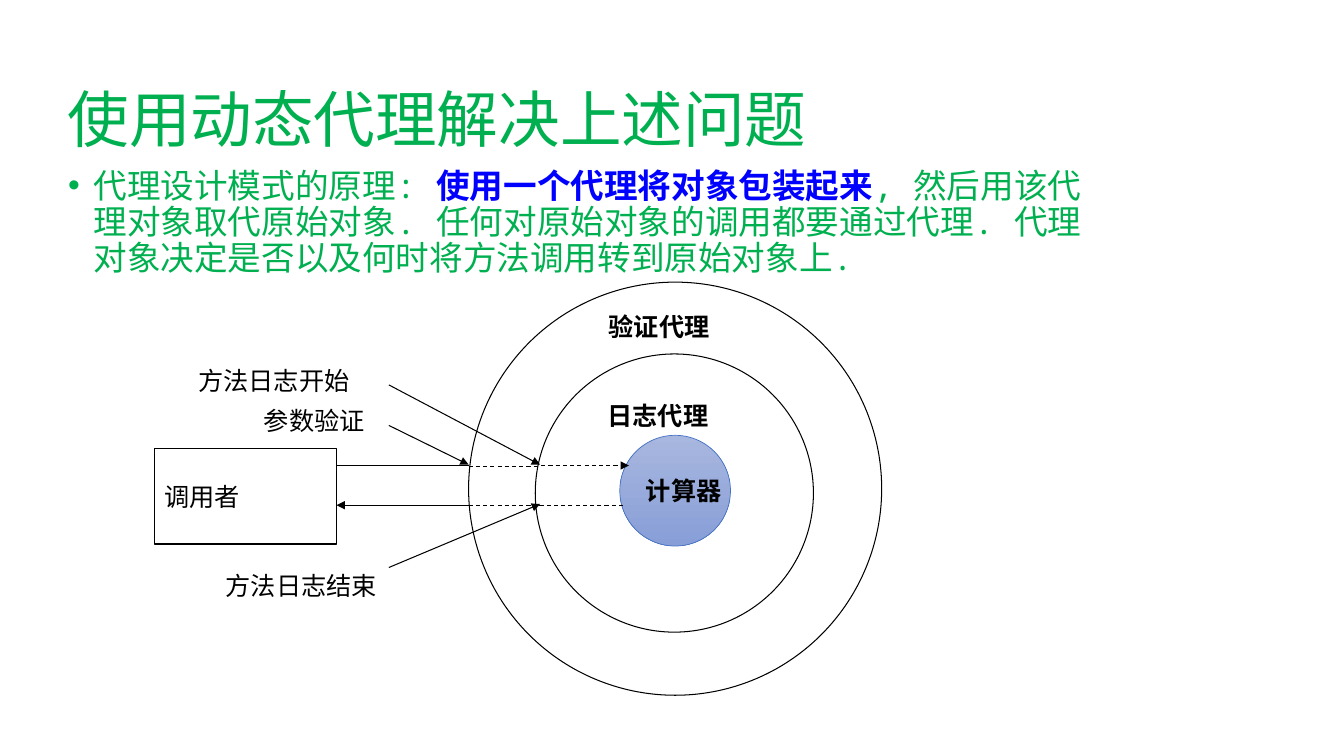
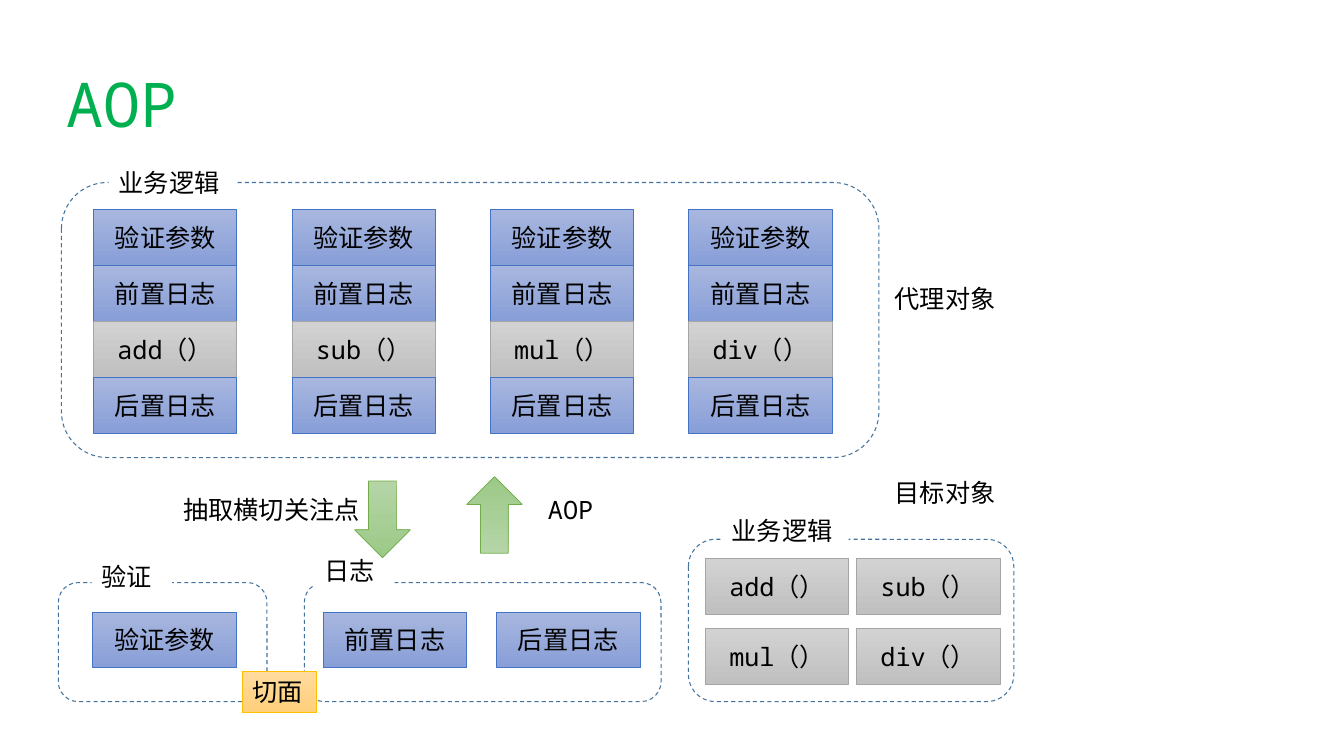
"""Build two slides on dynamic proxies and aspect-oriented programming."""
import dataclasses

import lxml.etree
import pptx
import pptx.dml.color
import pptx.enum.dml
import pptx.enum.shapes
import pptx.enum.text
import pptx.oxml.ns
import pptx.util

Cm = pptx.util.Cm
Pt = pptx.util.Pt
qn = pptx.oxml.ns.qn
MSO_SHAPE = pptx.enum.shapes.MSO_SHAPE
MSO_ANCHOR = pptx.enum.text.MSO_ANCHOR
PP_ALIGN = pptx.enum.text.PP_ALIGN
DASH = pptx.enum.dml.MSO_LINE.DASH
color = pptx.dml.color.RGBColor.from_string


@dataclasses.dataclass(frozen=True)
class Theme:
    font: str = "Noto Sans Mono"
    title_size: int = 44
    body_size: int = 24
    label_size: int = 18
    green: str = "00B050"
    emphasis: str = "0000FF"
    black: str = "000000"
    white: str = "FFFFFF"
    frame: str = "43739E"
    blue_fill: tuple = ("A8B7DF", "889ED7")
    blue_line: str = "4472C4"
    gray_fill: tuple = ("D2D2D2", "C0C0C0")
    gray_line: str = "A5A5A5"
    green_fill: tuple = ("B5D5A7", "9CC987")
    green_line: str = "70AD47"
    gold_fill: tuple = ("FFDB9E", "FFD07C")
    gold_line: str = "FFC000"
    thin: float = 0.5
    regular: float = 0.75


theme = Theme()


def draw(slide, kind, box, fill=None, line=None, width=theme.thin, dash=None):
    """Add a preset shape, or a text box when kind is None."""
    lengths = [Cm(length) for length in box]
    if kind is None:
        return slide.shapes.add_textbox(*lengths)
    shape = slide.shapes.add_shape(kind, *lengths)
    shape.shadow.inherit = False
    if isinstance(fill, tuple):
        shape.fill.gradient()
        shape.fill.gradient_angle = 270
        for stop, stop_color in zip(shape.fill.gradient_stops, fill):
            stop.color.rgb = color(stop_color)
    elif fill:
        shape.fill.solid()
        shape.fill.fore_color.rgb = color(fill)
    else:
        shape.fill.background()
    if line:
        shape.line.color.rgb = color(line)
        shape.line.width = Pt(width)
        shape.line.dash_style = dash
    else:
        shape.line.fill.background()
    return shape


def write(shape, runs, size=theme.label_size, align=PP_ALIGN.LEFT,
          anchor=MSO_ANCHOR.TOP, wrap=True, grow=False, hanging=0):
    """Write (text, colour, bold) runs as one paragraph and return it."""
    frame = shape.text_frame
    frame.word_wrap = wrap
    frame.vertical_anchor = anchor
    if grow:
        frame.auto_size = pptx.enum.text.MSO_AUTO_SIZE.SHAPE_TO_FIT_TEXT
    paragraph = frame.paragraphs[0]
    paragraph.alignment = align
    if hanging:
        properties = paragraph._p.get_or_add_pPr()
        properties.set("marL", str(Cm(hanging)))
        properties.set("indent", str(-Cm(hanging)))
    for text, text_color, bold in runs:
        run = paragraph.add_run()
        run.text = text
        run.font.name = theme.font
        run.font.size = Pt(size)
        run.font.bold = bold
        run.font.color.rgb = color(text_color)
        east_asian = lxml.etree.SubElement(run._r.get_or_add_rPr(), qn("a:ea"))
        east_asian.set("typeface", theme.font)
    return paragraph


presentation = pptx.Presentation()
presentation.slide_width = Cm(33.87)
presentation.slide_height = Cm(19.05)

slides = []
for title, box in [
    ("使用动态代理解决上述问题", (1.45, 2.13, 27.13, 2.39)),
    ("AOP", (1.42, 1.75, 27.79, 3.18)),
]:
    slide = presentation.slides.add_slide(presentation.slide_layouts[6])
    paragraph = write(draw(slide, None, box), [(title, theme.green, False)], theme.title_size)
    paragraph.line_spacing = 0.9
    slides.append(slide)
proxy_slide, aspect_slide = slides

principle = [
    ("代理设计模式的原理: ", theme.green, False),
    ("使用一个代理将对象包装起来", theme.emphasis, True),
    (", 然后用该代理对象取代原始对象. 任何对原始对象的调用都要通过代理. "
     "代理对象决定是否以及何时将方法调用转到原始对象上.", theme.green, False),
]
paragraph = write(draw(proxy_slide, None, (1.47, 4.14, 26.24, 4.45)),
                  principle, theme.body_size, hanging=0.64)
paragraph.line_spacing = 0.9
paragraph.space_before = Pt(10)
properties = paragraph._p.get_or_add_pPr()
bullet_font = lxml.etree.SubElement(properties, qn("a:buFont"))
bullet_font.set("typeface", "Arial")
lxml.etree.SubElement(properties, qn("a:buChar")).set("char", "•")

for left, top, diameter in [(13.49, 8.92, 7.01), (11.81, 7.11, 10.41)]:
    draw(proxy_slide, MSO_SHAPE.OVAL, (left, top, diameter, diameter),
         line=theme.black, width=theme.regular)
caller = draw(proxy_slide, MSO_SHAPE.RECTANGLE, (3.89, 11.3, 4.6, 2.41),
              line=theme.black, width=theme.regular)
calculator = draw(proxy_slide, MSO_SHAPE.OVAL, (15.62, 10.97, 2.79, 2.79),
                  theme.blue_fill, theme.blue_line)
for shape, text, bold in [(caller, "调用者", False), (calculator, "计算器", True)]:
    write(shape, [(text, theme.black, bold)], anchor=MSO_ANCHOR.MIDDLE,
          wrap=False, hanging=0.95)

for start, end, dash, arrow in [
    ((8.48, 11.73), (11.81, 11.73), None, False),
    ((11.81, 11.75), (13.61, 11.75), DASH, False),
    ((13.64, 11.73), (15.85, 11.73), DASH, True),
    ((15.7, 12.73), (13.49, 12.73), DASH, False),
    ((11.81, 12.75), (13.61, 12.75), DASH, False),
    ((11.81, 12.73), (8.48, 12.73), None, True),
    ((9.8, 10.72), (11.81, 11.71), None, True),
    ((9.8, 9.7), (13.61, 11.71), None, True),
    ((9.8, 14.3), (13.61, 12.7), None, True),
]:
    connector = proxy_slide.shapes.add_connector(
        pptx.enum.shapes.MSO_CONNECTOR.STRAIGHT,
        *[Cm(length) for length in start + end])
    connector.line.color.rgb = color(theme.black)
    connector.line.width = Pt(theme.regular)
    connector.line.dash_style = dash
    properties = connector._element.spPr
    if arrow:
        tail = lxml.etree.SubElement(properties.get_or_add_ln(), qn("a:tailEnd"))
        tail.set("type", "triangle")
    lxml.etree.SubElement(properties, qn("a:effectLst"))

for left, top, width, height in [
    (1.55, 4.6, 20.6, 6.93),
    (17.35, 13.59, 8.2, 4.09),
    (1.47, 14.68, 5.26, 3),
    (7.67, 14.68, 8.99, 3),
]:
    draw(aspect_slide, MSO_SHAPE.ROUNDED_RECTANGLE, (left, top, width, height),
         line=theme.frame, width=theme.regular, dash=DASH)

block_width, block_height = 3.61, 1.41
methods = ["add（）", "sub（）", "mul（）", "div（）"]
blocks = [("验证参数", 2.34, 15.42), ("前置日志", 8.15, 15.42), ("后置日志", 12.52, 15.42)]
for index, method in enumerate(methods):
    for row, text in enumerate(["验证参数", "前置日志", method, "后置日志"]):
        blocks.append((text, 2.36 + 5 * index, 5.28 + block_height * row))
    blocks.append((method, 17.78 + 3.81 * (index % 2), 14.07 + 1.77 * (index // 2)))
for text, left, top in blocks:
    is_method = text in methods
    block = draw(aspect_slide, MSO_SHAPE.RECTANGLE, (left, top, block_width, block_height),
                 theme.gray_fill if is_method else theme.blue_fill,
                 theme.gray_line if is_method else theme.blue_line)
    write(block, [(text, theme.black, False)], align=PP_ALIGN.CENTER, anchor=MSO_ANCHOR.MIDDLE)

label_height = 1.02
for slide, text, left, top, width, bold, fill, line in [
    (proxy_slide, "日志代理", 15.06, 9.96, 3.89, True, None, None),
    (proxy_slide, "验证代理", 15.09, 7.72, 3.89, True, None, None),
    (proxy_slide, "参数验证", 6.4, 10.08, 3.4, False, None, None),
    (proxy_slide, "方法日志开始", 4.75, 9.09, 5.61, False, None, None),
    (proxy_slide, "方法日志结束", 5.44, 14.25, 5, False, None, None),
    (aspect_slide, "业务逻辑", 2.74, 4.09, 3.2, False, theme.white, None),
    (aspect_slide, "业务逻辑", 18.19, 12.85, 3.2, False, theme.white, None),
    (aspect_slide, "验证", 2.31, 14.02, 2.03, False, theme.white, None),
    (aspect_slide, "日志", 7.92, 13.87, 2.03, False, theme.white, None),
    (aspect_slide, "抽取横切关注点", 4.37, 12.32, 5.38, False, None, None),
    (aspect_slide, "AOP", 13.56, 12.34, 2.18, False, None, None),
    (aspect_slide, "切面", 6.12, 16.92, 1.85, False, theme.gold_fill, theme.gold_line),
    (aspect_slide, "目标对象", 22.3, 11.91, 3.25, False, None, None),
    (aspect_slide, "代理对象", 22.3, 7.01, 3.25, False, None, None),
]:
    kind = MSO_SHAPE.RECTANGLE if fill else None
    label = draw(slide, kind, (left, top, width, label_height), fill, line)
    write(label, [(text, theme.black, bold)], grow=True)

for left, top, rotation in [(8.94, 12.12, 0), (11.76, 12.01, 180)]:
    arrow = draw(aspect_slide, MSO_SHAPE.DOWN_ARROW, (left, top, 1.4, 1.93),
                 theme.green_fill, theme.green_line)
    arrow.rotation = rotation

presentation.save("out.pptx")
